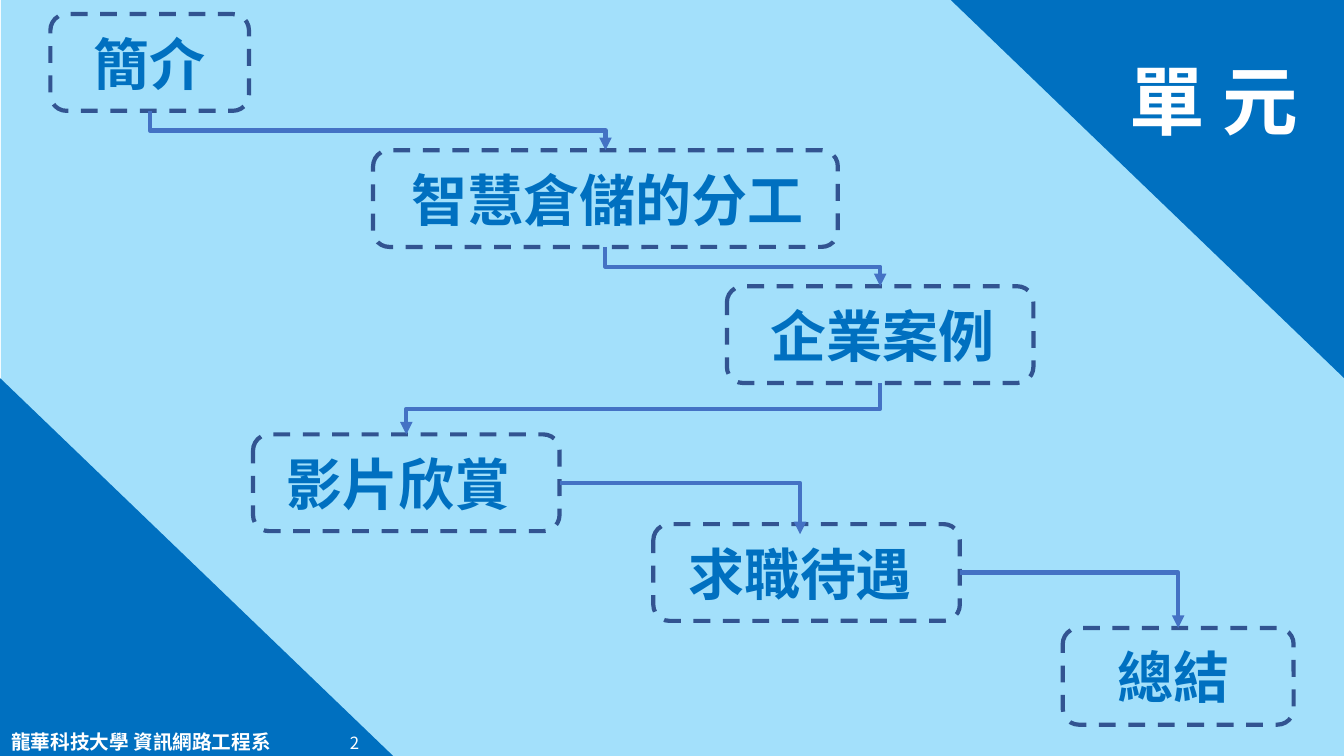
import pptx
import pptx.util
import pptx.dml.color
import pptx.enum.dml
import pptx.enum.shapes
import pptx.enum.text
import pptx.oxml
import pptx.oxml.ns
from lxml import etree

PX = 9144  # 100 px to the inch
FONT = "Noto Sans CJK SC"
COLORS = {"sky": "A3E0FB", "blue": "0070C0", "frame": "325491",
          "arrow": "4472C4", "white": "FFFFFF"}
SHAPES = pptx.enum.shapes.MSO_SHAPE
ALIGN = pptx.enum.text.PP_ALIGN
ANCHOR = pptx.enum.text.MSO_ANCHOR
BOTTOM, RIGHT = 2, 3  # connection sites
FRAME_HEIGHT, CAPTION_HEIGHT, CAPTION_DROP = 96, 77, 10

# caption, frame left, frame top, frame width, caption left, caption width
UNITS = [
    ("簡介", 50, 14, 197, 75, 147),
    ("智慧倉儲的分工", 370, 149, 461, 393, 419),
    ("企業案例", 721, 284, 304, 753, 244),
    ("影片欣賞", 251, 431, 304, 267, 257),
    ("求職待遇", 648, 520, 304, 667, 253),
    ("總結", 1054, 623, 229, 1069, 190),
]


def rgb(name):
    return pptx.dml.color.RGBColor.from_string(COLORS[name])


def px(*lengths):
    return [pptx.util.Emu(length * PX) for length in lengths]


def sub(parent, tag, **attributes):
    return etree.SubElement(parent, pptx.oxml.ns.qn(tag), attributes)


def place(shape, left, top, width, height):
    box = {"left": left, "top": top, "width": width, "height": height}
    for side, length in box.items():
        setattr(shape, side, pptx.util.Emu(int(length)))


def add_panel(slide, kind, box, color, rotation=0):
    panel = slide.shapes.add_shape(kind, *px(*box))
    panel.shadow.inherit = False
    panel.rotation = rotation
    panel.fill.solid()
    panel.fill.fore_color.rgb = rgb(color)
    panel.line.fill.background()


def write(shape, text, size, color, bold=True, align=ALIGN.CENTER,
          anchor=ANCHOR.TOP):
    frame = shape.text_frame
    layout = {"word_wrap": True, "vertical_anchor": anchor,
              "auto_size": pptx.enum.text.MSO_AUTO_SIZE.NONE}
    for key, value in layout.items():
        setattr(frame, key, value)
    paragraph = frame.paragraphs[0]
    paragraph.alignment = align
    run = paragraph.add_run()
    run.text = text
    run.font.color.rgb = rgb(color)
    looks = {"size": pptx.util.Pt(size), "bold": bold, "name": FONT}
    for key, value in looks.items():
        setattr(run.font, key, value)
    sub(run.font._element, "a:ea", typeface=FONT)


def add_label(shapes, box, text, size, color, **options):
    label = shapes.add_textbox(*px(*box))
    write(label, text, size, color, **options)
    return label


def add_unit(slide, text, left, top, width, caption_left, caption_width):
    """Add a dashed frame grouped with its caption and return both."""
    group = slide.shapes.add_group_shape()
    frame = group.shapes.add_shape(
        SHAPES.ROUNDED_RECTANGLE, *px(left, top, width, FRAME_HEIGHT))
    frame.shadow.inherit = False
    frame.fill.background()
    frame.line.color.rgb = rgb("frame")
    frame.line.width = pptx.util.Pt(3)
    frame.line.dash_style = pptx.enum.dml.MSO_LINE.DASH
    caption_box = (caption_left, top + CAPTION_DROP, caption_width, CAPTION_HEIGHT)
    caption = add_label(group.shapes, caption_box, text, 40, "blue")
    return frame, caption


def add_arrow(slide, source, site, target):
    """Run an elbow arrow from a site of source to the top of target."""
    end_x, end_y = target.left + target.width // 2, target.top
    if site == BOTTOM:
        x, y = source.left + source.width // 2, source.top + source.height
    else:
        x, y = source.left + source.width, source.top + source.height // 2
    across, down = abs(end_x - x), end_y - y
    arrow = slide.shapes.add_connector(
        pptx.enum.shapes.MSO_CONNECTOR.ELBOW, x, y, x + across, y + down)
    properties = arrow.element.spPr
    if site == BOTTOM:
        place(arrow, (x + end_x - down) // 2, (y + end_y - across) // 2,
              down, across)
        arrow.rotation = 270 if end_x > x else 90
        if end_x > x:
            properties.find(pptx.oxml.ns.qn("a:xfrm")).set("flipH", "1")
    else:
        properties.find(pptx.oxml.ns.qn("a:prstGeom")).set("prst", "bentConnector2")
    arrow.line.color.rgb = rgb("arrow")
    arrow.line.width = pptx.util.Pt(3)
    sub(arrow.line._get_or_add_ln(), "a:tailEnd", type="triangle")
    sub(properties, "a:effectLst")
    ends = arrow.element.nvCxnSpPr.cNvCxnSpPr
    sub(ends, "a:stCxn", id=str(source.shape_id), idx=str(site))
    sub(ends, "a:endCxn", id=str(target.shape_id), idx="0")


def main():
    presentation = pptx.Presentation()
    presentation.slide_width, presentation.slide_height = px(1333, 750)
    slide = presentation.slides.add_slide(presentation.slide_layouts[5])

    add_panel(slide, SHAPES.RECTANGLE, (1, 0, 1333, 750), "sky")
    add_panel(slide, SHAPES.RIGHT_TRIANGLE, (943, 0, 390, 375), "blue", 180)
    add_panel(slide, SHAPES.RIGHT_TRIANGLE, (0, 375, 390, 375), "blue")

    title = slide.shapes.title
    place(title, *px(1052, 48, 304, 101))
    write(title, "單 元", 54, "white")
    slide.shapes._spTree.append(title.element)  # in front of the panels

    add_label(slide.shapes, (-12, 719, 304, 34),
              "龍華科技大學 資訊網路工程系", 14, "white")
    add_label(slide.shapes, (321, 717, 45, 40), "2", 12, "white",
              bold=False, align=ALIGN.RIGHT, anchor=ANCHOR.MIDDLE)

    units = [add_unit(slide, *unit) for unit in UNITS]
    intro, division, cases, video, salary, summary = [frame for frame, _ in units]
    salary_caption = units[4][1]
    for source, site, target in [
        (intro, BOTTOM, division),
        (cases, BOTTOM, video),
        (division, BOTTOM, cases),
        (video, RIGHT, salary_caption),
        (salary, RIGHT, summary),
    ]:
        add_arrow(slide, source, site, target)

    presentation.save("out.pptx")


if __name__ == "__main__":
    main()
